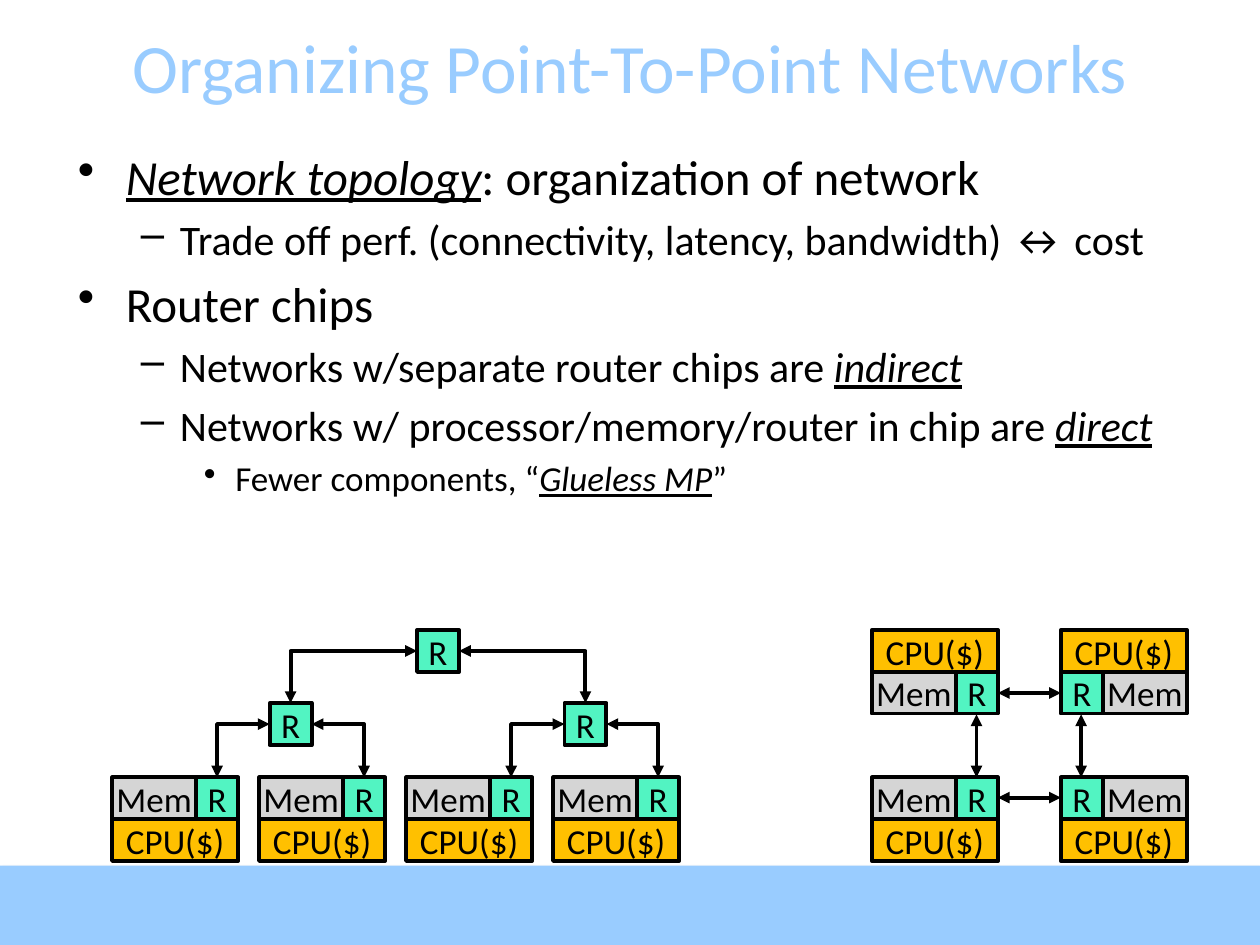
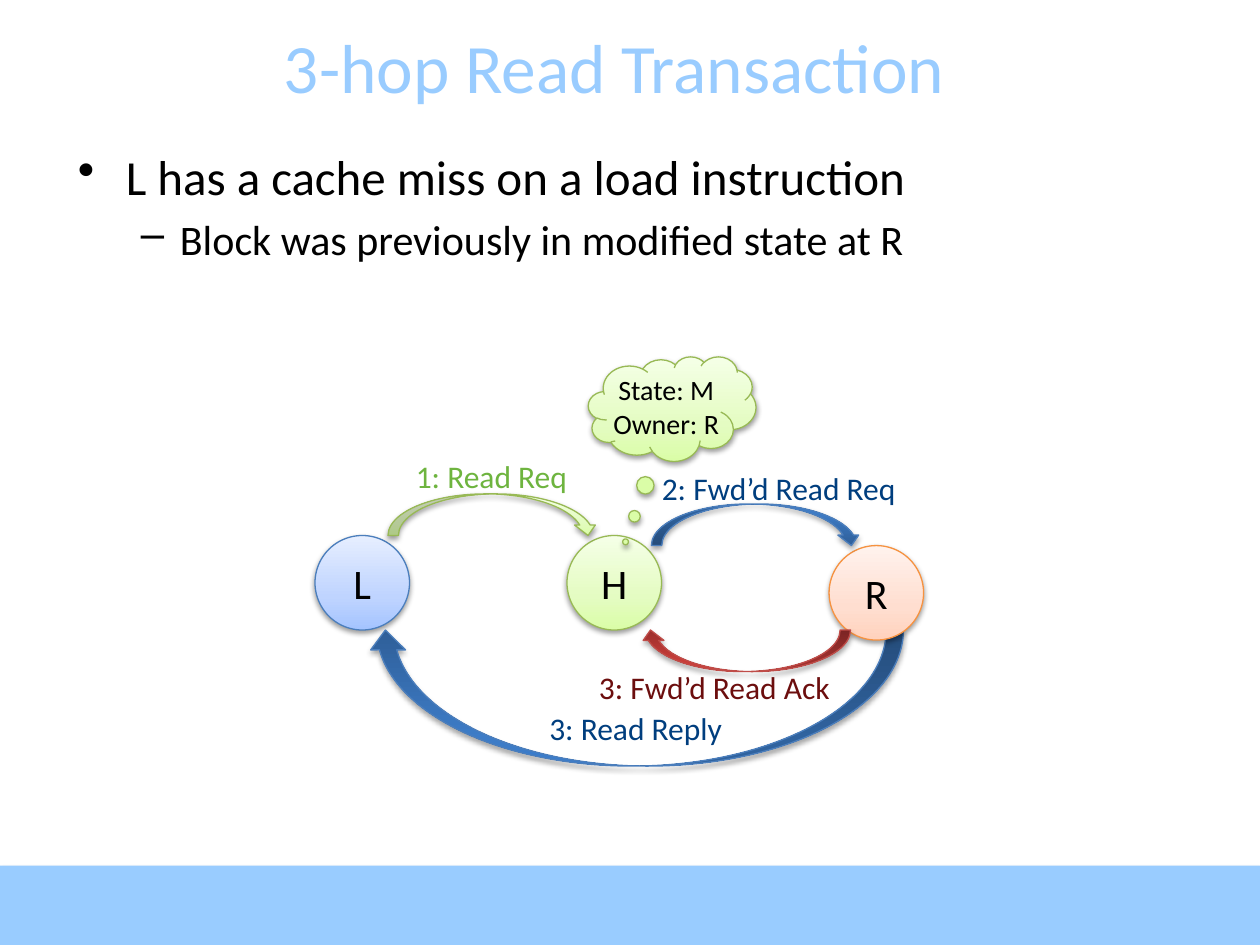
"""Build two slides on point-to-point networks and a 3-hop read transaction."""
from lxml.etree import SubElement
from pptx import Presentation
from pptx.dml.color import RGBColor
from pptx.enum.shapes import MSO_CONNECTOR, MSO_SHAPE as Preset
from pptx.enum.text import MSO_ANCHOR as Anchor, PP_ALIGN as Align
from pptx.oxml.ns import qn
from pptx.util import Inches, Pt

FONT = "Calibri"
BLACK, SKY = "000000", "99CCFF"
CPU_COLOR, MEMORY_COLOR, ROUTER_COLOR = "FFC000", "D5D5D5", "52F4C2"
SOFT_SHADOW, DEEP_SHADOW = (38, 1.6), (35, 1.8)
LEVELS = [("•", 28, 0.38, -0.38), ("–", 24, 0.81, -0.31), ("•", 20, 1.25, -0.25)]
UNIT = 1 / 3


def write(paragraph, text, size=20, color=BLACK, align=Align.CENTER, bullet=None, margin=0, indent=0, before=0):
    """Fill a paragraph; text between asterisks is italic and underlined."""
    if bullet:
        properties = paragraph._p.get_or_add_pPr()
        properties.set("marL", str(Inches(margin)))
        properties.set("indent", str(Inches(indent)))
        SubElement(properties, qn("a:buChar"), char=bullet)
    paragraph.alignment = align
    if before:
        paragraph.space_before = Pt(before)
    for number, part in enumerate(text.split("*")):
        if part:
            run = paragraph.add_run()
            run.text = part
            run.font.name = FONT
            run.font.size = Pt(size)
            run.font.color.rgb = RGBColor.from_string(color)
            if number % 2:
                run.font.italic = run.font.underline = True


def paint(shape, fill=None, line=None, width=2.25, shadow=None, arrows=False):
    """Set fill (a colour or gradient stops), line, shadow and arrowheads."""
    properties = shape._element.spPr
    if isinstance(fill, str):
        shape.fill.solid()
        shape.fill.fore_color.rgb = RGBColor.from_string(fill)
    elif fill:
        shape.fill.gradient()
        shape.fill.gradient_angle = 90
        stops = properties.find(".//" + qn("a:gsLst"))
        for stop in list(stops):
            stops.remove(stop)
        for position, color in fill:
            stop = SubElement(stops, qn("a:gs"), pos=str(position * 1000))
            SubElement(stop, qn("a:srgbClr"), val=color)
    if line:
        shape.line.color.rgb = RGBColor.from_string(line)
        shape.line.width = Pt(width)
    else:
        shape.line.fill.background()
    if arrows:
        for end in ("a:headEnd", "a:tailEnd"):
            SubElement(properties.find(qn("a:ln")), qn(end), type="triangle")
    effects = SubElement(properties, qn("a:effectLst"))
    if shadow:
        opacity, distance = shadow
        outer = SubElement(effects, qn("a:outerShdw"), blurRad=str(Pt(3.1)), dist=str(Pt(distance)),
                           dir="5400000", rotWithShape="0")
        shade = SubElement(outer, qn("a:srgbClr"), val=BLACK)
        SubElement(shade, qn("a:alpha"), val=str(opacity * 1000))


presentation = Presentation()
presentation.slide_width, presentation.slide_height = Inches(10), Inches(7.5)

contents = [
    ("Organizing Point-To-Point Networks", 10, [
        (0, "*Network topology*: organization of network"),
        (1, "Trade off perf. (connectivity, latency, bandwidth) ↔ cost"),
        (0, "Router chips"),
        (1, "Networks w/separate router chips are *indirect*"),
        (1, "Networks w/ processor/memory/router in chip are *direct*"),
        (2, "Fewer components, “*Glueless MP*”"),
    ]),
    ("3-hop Read Transaction", 9.75, [
        (0, "L has a cache miss on a load instruction"),
        (1, "Block was previously in modified state at R"),
    ]),
]
for title, title_width, bullets in contents:
    slide = presentation.slides.add_slide(presentation.slide_layouts[6])
    band = slide.shapes.add_shape(Preset.RECTANGLE, 0, Inches(6.87), Inches(10), Inches(0.63))
    paint(band, SKY, shadow=DEEP_SHADOW)

    title_frame = slide.shapes.add_textbox(0, Inches(0.21), Inches(title_width), Inches(0.63)).text_frame
    title_frame.word_wrap = True
    title_frame.vertical_anchor = Anchor.MIDDLE
    write(title_frame.paragraphs[0], title, size=39.6, color=SKY)

    body = slide.shapes.add_textbox(Inches(0.52), Inches(1.11), Inches(9), Inches(5.56)).text_frame
    body.word_wrap = True
    for number, (level, text) in enumerate(bullets):
        paragraph = body.add_paragraph() if number else body.paragraphs[0]
        paragraph.level = level
        bullet, size, margin, indent = LEVELS[level]
        write(paragraph, text, size=size, align=Align.LEFT, bullet=bullet, margin=margin, indent=indent,
              before=size * 0.2 if number else 0)

network_slide, read_slide = presentation.slides

leaf_lefts = [0.89 + number * 3.5 * UNIT for number in range(4)]
parent_lefts = [2.14, 4.48]
root_left, root_top, parent_top, leaf_top = 3.31, 5, 5.58, 6.17
nodes = [(left, 6.5, leaf_top, False) for left in leaf_lefts]
for left, router_first in ((6.92, False), (8.42, True)):
    nodes += [(left, 5, 5.33, router_first), (left, 6.5, leaf_top, router_first)]

blocks = [("R", root_left, root_top, UNIT, ROUTER_COLOR)]
blocks += [("R", left, parent_top, UNIT, ROUTER_COLOR) for left in parent_lefts]
for left, cpu_top, memory_top, router_first in nodes:
    memory_left, router_left = (left + UNIT, left) if router_first else (left, left + 2 * UNIT)
    blocks += [
        ("CPU($)", left, cpu_top, 3 * UNIT, CPU_COLOR),
        ("Mem", memory_left, memory_top, 2 * UNIT, MEMORY_COLOR),
        ("R", router_left, memory_top, UNIT, ROUTER_COLOR),
    ]
for text, left, top, width, color in blocks:
    block = network_slide.shapes.add_shape(Preset.RECTANGLE, Inches(left), Inches(top), Inches(width), Inches(UNIT))
    paint(block, color, BLACK)
    block.text_frame.word_wrap = False
    write(block.text_frame.paragraphs[0], text)

links = [(root_left, root_top, left + UNIT / 2, parent_top) for left in parent_lefts]
links += [(parent_lefts[number // 2], parent_top, left + 2.5 * UNIT, leaf_top)
          for number, left in enumerate(leaf_lefts)]
for upper_left, upper_top, lower_x, lower_y in links:
    side_x = upper_left if lower_x < upper_left else upper_left + UNIT
    side_y = upper_top + UNIT / 2
    builder = network_slide.shapes.build_freeform(Inches(lower_x), Inches(lower_y))
    builder.add_line_segments([(Inches(lower_x), Inches(side_y)), (Inches(side_x), Inches(side_y))], close=False)
    elbow = builder.convert_to_shape()
    elbow.fill.background()
    paint(elbow, line=BLACK, arrows=True)

ring = [(x, 5.67, x, 6.17) for x in (7.75, 8.58)] + [(7.92, y, 8.42, y) for y in (5.5, 6.33)]
for ends in ring:
    connector = network_slide.shapes.add_connector(MSO_CONNECTOR.STRAIGHT, *map(Inches, ends))
    paint(connector, line=BLACK, arrows=True)

styles = {
    "local": ([(0, "A4C4FF"), (35, "BFD4FF"), (100, "E6EEFF")], "4B7EBC", SOFT_SHADOW),
    "home": ([(0, "DAFDA7"), (35, "E4FCC2"), (100, "F5FFE7")], "98B955", SOFT_SHADOW),
    "remote": ([(0, "FFD2BD"), (35, "FFDED0"), (100, "FFF2ED")], "F69240", SOFT_SHADOW),
    "data": ([(0, "2F5F99"), (80, "3D7CC7"), (100, "3A7CCB")], "4B7EBC", DEEP_SHADOW),
    "ack": ([(0, "9C2F2D"), (80, "CB3E3A"), (100, "CE3B37")], "BF4C48", DEEP_SHADOW),
}
circle, arrow, cloud = Preset.OVAL, Preset.CURVED_DOWN_ARROW, Preset.CLOUD_CALLOUT
parts = [
    (circle, 2.5, 4.25, 0.75, 0.75, "local", 0, [], "L"),
    (circle, 4.5, 4.25, 0.75, 0.75, "home", 0, [], "H"),
    (arrow, 3.08, 3.92, 1.67, 0.33, "home", 0, [], ""),
    (arrow, 2.92, 5, 4.25, 1.08, "data", 180, [0.127, 0.256, 0.146], ""),
    (circle, 6.58, 4.33, 0.75, 0.75, "remote", 0, [], "R"),
    (cloud, 4.67, 2.83, 1.33, 0.83, "home", 0, [-0.278, 1.272], "State: M Owner: R"),
    (arrow, 5.17, 4, 1.67, 0.33, "data", 0, [], ""),
    (arrow, 5.08, 5, 1.67, 0.33, "ack", 180, [], ""),
]
for preset, left, top, width, height, style, rotation, adjustments, text in parts:
    shape = read_slide.shapes.add_shape(preset, Inches(left), Inches(top), Inches(width), Inches(height))
    shape.rotation = rotation
    for number, value in enumerate(adjustments):
        shape.adjustments[number] = value
    fill, line, shadow = styles[style]
    paint(shape, fill, line, width=0.75, shadow=shadow)
    if text:
        frame = shape.text_frame
        frame.word_wrap = preset == cloud
        frame.margin_left = frame.margin_right = 0
        frame.margin_top = frame.margin_bottom = Inches(0 if preset == cloud else 0.05)
        write(frame.paragraphs[0], text, size=16 if preset == cloud else 24)

labels = [
    ("1: Read Req", 3.19, 3.58, 1.42, "6EB43F"),
    ("3: Read Reply", 4.25, 5.58, 1.59, "003E7E"),
    ("2: Fwd’d Read Req", 5.14, 3.67, 2.08, "003E7E"),
    ("3: Fwd’d Read Ack", 4.64, 5.25, 2.06, "6C0E0E"),
]
for text, left, top, width, color in labels:
    label = read_slide.shapes.add_textbox(Inches(left), Inches(top), Inches(width), Inches(0.4))
    label.text_frame.word_wrap = False
    write(label.text_frame.paragraphs[0], text, size=18, color=color)

presentation.save("out.pptx")
